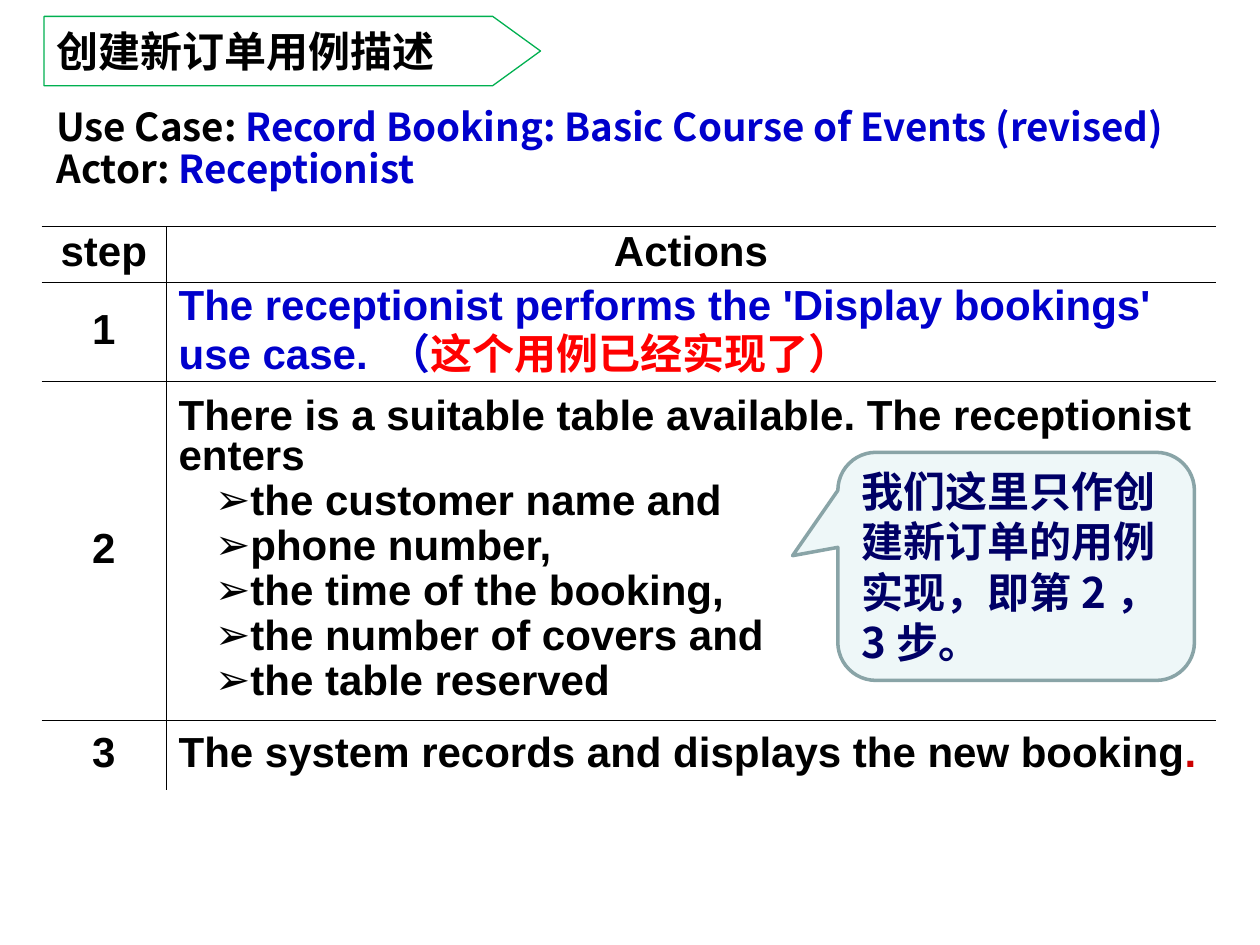
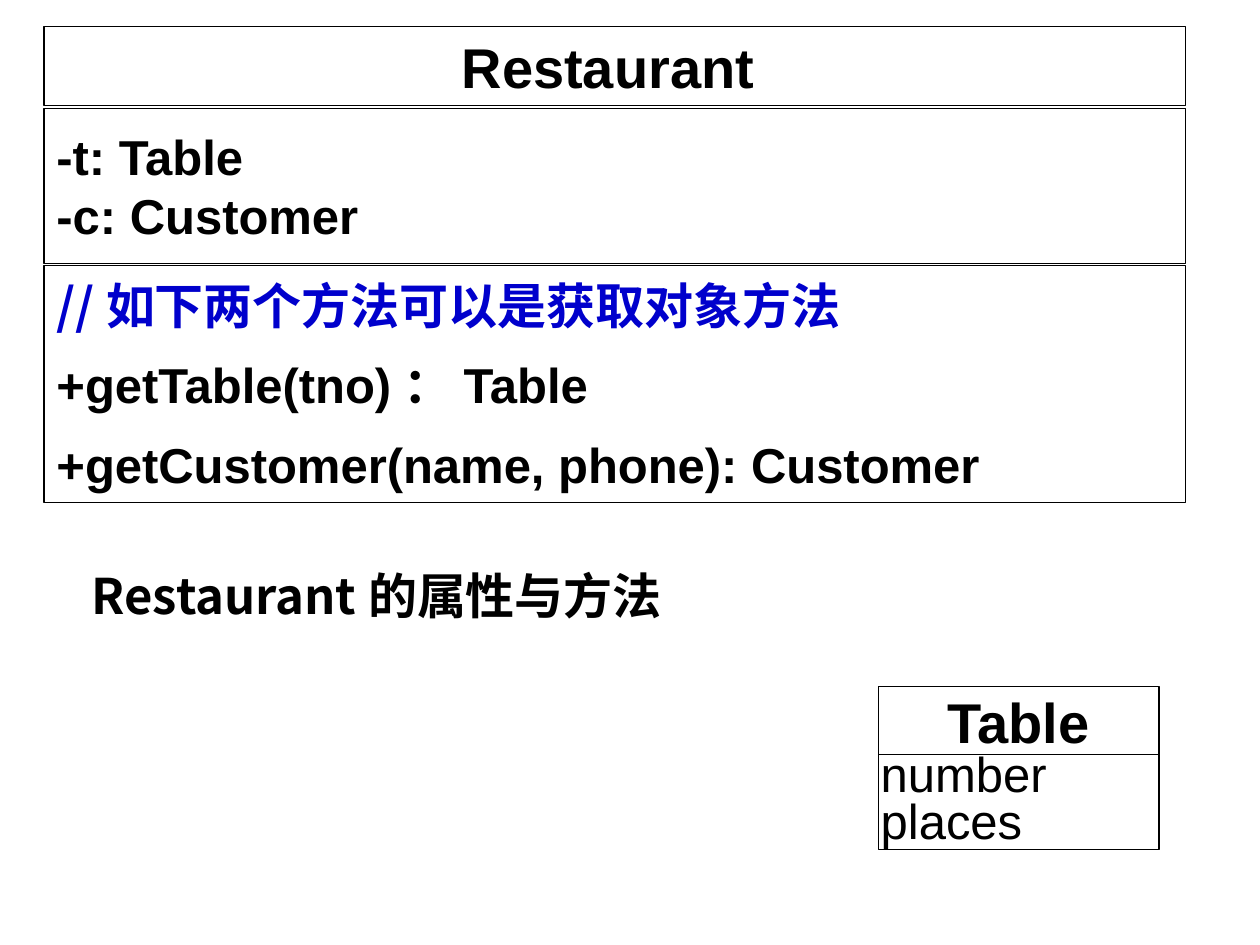
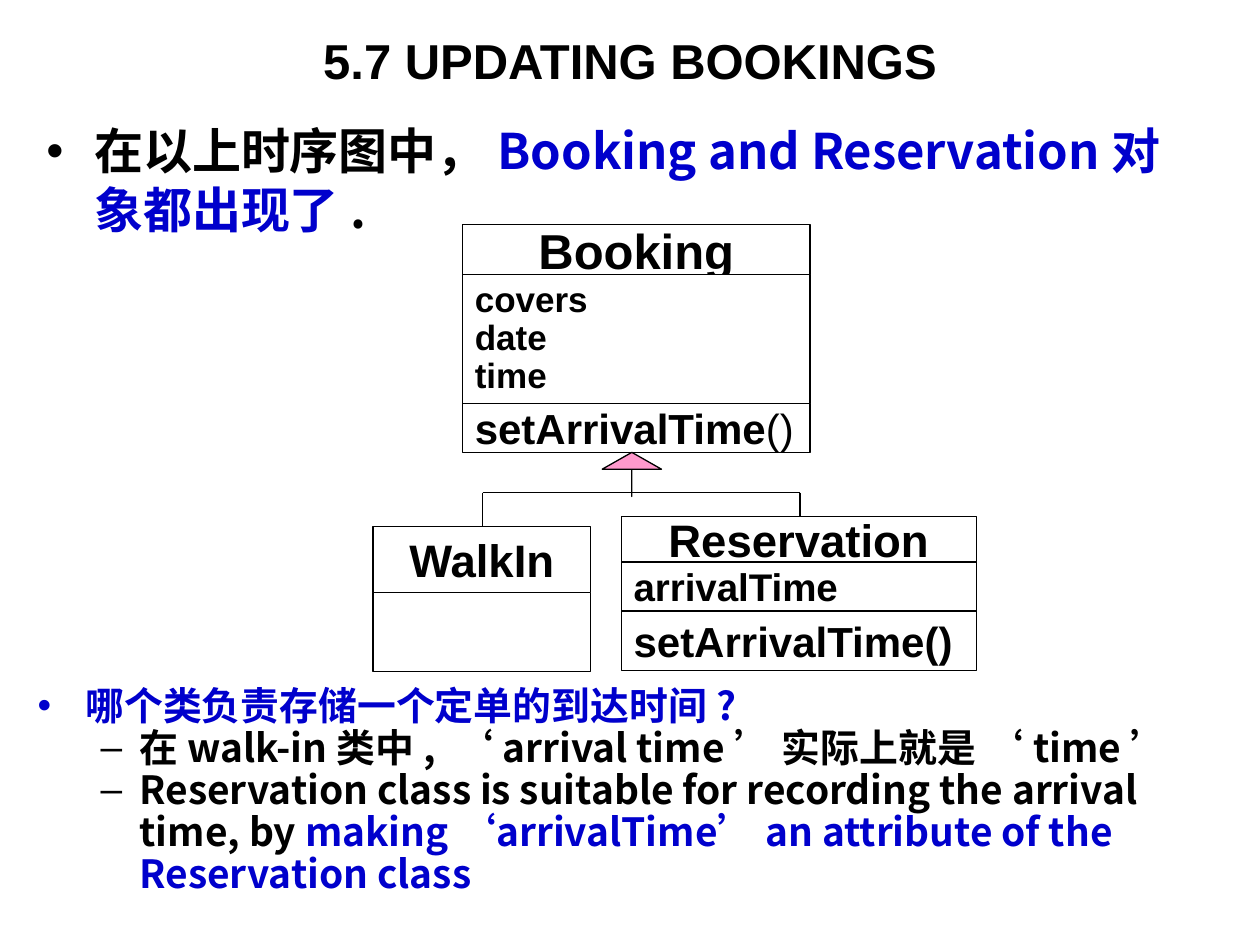
from dataclasses import dataclass
from lxml.etree import SubElement as Sub
from pptx import Presentation
from pptx.dml.color import RGBColor
from pptx.enum.shapes import MSO_CONNECTOR, MSO_SHAPE as Kind
from pptx.enum.text import MSO_ANCHOR as Anchor, MSO_AUTO_SIZE as Auto, PP_ALIGN as Align
from pptx.oxml.ns import qn
from pptx.util import Emu, Inches, Pt

WIDE, HIGH = Inches(10), Inches(7.5)
COLS, ROWS = 100, 75
BLACK, BLUE, RED, WHITE = "000000", "0000CC", "FF0000", "FFFFFF"
LATIN, HAN = "Arial", "Noto Sans CJK SC"
MID = {"vertical_anchor": Anchor.MIDDLE}
CENTER = {"alignment": Align.CENTER}


@dataclass
class Mark:
    """A bullet; left and hang are in grid columns."""
    char: str
    left: float
    hang: float
    level: int = 0
    color: str = BLACK


def look(size, font=LATIN, color=BLACK, bold=True):
    return {"size": size, "name": font, "color": color, "bold": bold}


def rgb(text):
    return RGBColor.from_string(text)


def col(n):
    return Emu(round(WIDE * n / COLS))


def row(n):
    return Emu(round(HIGH * n / ROWS))


def spot(box):
    x, y, w, h = box
    return col(x), row(y), col(w), row(h)


def assign(thing, values):
    for key, value in values.items():
        setattr(thing, key, value)


def style(run, form):
    font = run.font
    assign(font, {"name": form["name"], "size": Pt(form["size"]), "bold": form["bold"]})
    font.color.rgb = rgb(form["color"])
    Sub(run._r.get_or_add_rPr(), qn("a:ea"), typeface=HAN)


def bullet(par, mark):
    par.level = mark.level
    props = par._p.get_or_add_pPr()
    props.set("marL", str(col(mark.left)))
    props.set("indent", str(-col(mark.hang)))
    Sub(Sub(props, qn("a:buClr")), qn("a:srgbClr"), val=mark.color)
    Sub(props, qn("a:buFont"), typeface=LATIN)
    Sub(props, qn("a:buChar"), char=mark.char)


def write(frame, pars, form, lay=None, before=0):
    """Each paragraph is a list of (text, changes) runs, after an optional Mark."""
    for i, parts in enumerate(pars):
        par = frame.add_paragraph() if i else frame.paragraphs[0]
        for part in parts:
            if isinstance(part, Mark):
                bullet(par, part)
                continue
            text, change = part if isinstance(part, tuple) else (part, {})
            run = par.add_run()
            run.text = text
            style(run, form | change)
        assign(par, lay or {})
        par.space_before = Pt(before if i else 0)


def note(slide, box, pars, form, lay=None, before=0):
    frame = slide.shapes.add_textbox(*spot(box)).text_frame
    frame.word_wrap = True
    write(frame, pars, form, lay, before)


def head(slide, box, text, form, align):
    title = slide.shapes.title
    assign(title, dict(zip(("left", "top", "width", "height"), spot(box))))
    frame = title.text_frame
    assign(frame, MID | {"word_wrap": True, "auto_size": Auto.NONE})
    write(frame, [[text]], form, {"alignment": align})


def shape(slide, kind, box, fill=None, line=BLACK, width=0.75, adjust=()):
    item = slide.shapes.add_shape(kind, *spot(box))
    item.shadow.inherit = False
    for i, value in enumerate(adjust):
        item.adjustments[i] = value
    if fill:
        item.fill.solid()
        item.fill.fore_color.rgb = rgb(fill)
    else:
        item.fill.background()
    item.line.color.rgb = rgb(line)
    item.line.width = Pt(width)
    return item


def link(slide, x1, y1, x2, y2):
    line = slide.shapes.add_connector(
        MSO_CONNECTOR.STRAIGHT, col(x1), row(y1), col(x2), row(y2))
    line.line.color.rgb = rgb(BLACK)
    line.line.width = Pt(0.75)
    Sub(line._element.spPr, qn("a:effectLst"))


def stack(slide, x, y, wide, parts, gap=0):
    """Class box: parts are (height, paragraphs, look, paragraph format, frame format)."""
    for high, pars, form, lay, hold in parts:
        frame = shape(slide, Kind.RECTANGLE, (x, y, wide, high), WHITE).text_frame
        assign(frame, MID | {"word_wrap": False} | hold)
        lay = {"alignment": Align.LEFT} | lay
        write(frame, pars, form, lay, 6 if "space_after" in lay else 0)
        y += high + gap


def border(cell, sides):
    props = cell._tc.get_or_add_tcPr()
    for side in "LRTB":
        line = Sub(props, qn(f"a:ln{side}"), w=str(Pt(0.45)))
        if side in sides:
            Sub(Sub(line, qn("a:solidFill")), qn("a:srgbClr"), val=BLACK)
        else:
            Sub(line, qn("a:noFill"))
    cell.fill.background()


def steps(slide, box):
    item = Mark("➢", 5.5, 2.6, 1)
    fields = ("the customer name and", "phone number,", "the time of the booking,",
              "the number of covers and", "the table reserved")
    data = [
        ("step", [["Actions"]], 4.4),
        ("1", [["The receptionist performs the 'Display bookings'"],
               ["use case. （", ("这个用例已经实现了）", {"name": HAN, "color": RED})]], 7.9),
        ("2", [["There is a suitable table available. The receptionist enters"],
               *([item, name] for name in fields)], 26.9),
        ("3", [["The system records and displays the new booking",
                (".", {"color": "CC0000"})]], 5.5),
    ]
    table = slide.shapes.add_table(len(data), 2, *spot(box)).table
    assign(table, {"first_row": False, "horz_banding": False})
    for column, share in zip(table.columns, (0.106, 0.894)):
        column.width = col(box[2] * share)
    for i, (step, pars, high) in enumerate(data):
        table.rows[i].height = row(high)
        ends = "T" if i == len(data) - 1 else "TB"
        for j, body in enumerate(([[step]], pars)):
            cell = table.cell(i, j)
            cell.vertical_anchor = Anchor.MIDDLE
            border(cell, ends + "RL"[j])
            lay = {"line_spacing": 0.85}
            if j == 0 or i == 0:
                lay |= CENTER
            color = BLUE if (i, j) == (1, 1) else BLACK
            write(cell.text_frame, body, look(24, color=color), lay, 0 if i == 1 else 3)


def callout(slide, box, text):
    item = shape(slide, Kind.ROUNDED_RECTANGULAR_CALLOUT, box, "BBE0E3", "89A4A7", 2,
                 (-0.627, -0.047, 0.167))
    tint = item._element.spPr.find(qn("a:solidFill"))[0]
    Sub(tint, qn("a:alpha"), val="24000")
    assign(item.text_frame, MID | {"word_wrap": True})
    write(item.text_frame, [[text]], look(24, HAN, "000066"), {"alignment": Align.LEFT})


def use_case(slide):
    banner = (3.5, 1.3, 39.4, 5.5)
    shape(slide, Kind.PENTAGON, banner, line="00B050", adjust=(0.69,))
    head(slide, banner, "创建新订单用例描述", look(24, HAN), Align.LEFT)
    blue = {"color": BLUE}
    note(slide, (3.5, 8.4, 93, 7.3),
         [["Use Case: ", ("Record Booking: Basic Course of Events (revised)", blue)],
          ["Actor: ", ("Receptionist", blue)]],
         look(22, HAN), {"line_spacing": 0.8}, 2.8)
    steps(slide, (3.3, 18, 93.2, 44.7))
    callout(slide, (66.5, 35.9, 28.3, 18.1), "我们这里只作创建新订单的用例实现，即第2，3步。")


def members(slide):
    bold = look(28)
    stack(slide, 3.5, 2.1, 90.6, [
        (6.3, [["Restaurant", (" ", {"size": 28})]], look(32), CENTER, {}),
        (12.3, [["-t: Table"], ["-c: Customer"]], bold, {}, {}),
        (18.8, [[("//如下两个方法可以是获取对象方法", {"name": HAN, "color": BLUE})],
                ["+getTable(tno)：Table"],
                ["+getCustomer(name, phone): Customer"]],
         bold, {"space_after": Pt(6)}, {}),
    ], 0.2)
    tight = {"margin_left": col(0.2), "margin_right": 0, "margin_top": 0,
             "margin_bottom": 0, "vertical_anchor": Anchor.TOP, "word_wrap": True}
    stack(slide, 69.7, 54.5, 22.3, [
        (5.4, [["Table"]], look(32), CENTER, {}),
        (7.5, [["number"], ["places"]], look(28, bold=False), {"line_spacing": 0.8}, tight),
    ])
    note(slide, (3.5, 44.4, 52.8, 5.7), [["Restaurant的属性与方法"]], look(28, HAN), CENTER)


def family(slide, box):
    """Booking above its two kinds, placed from the corner of the box."""
    x, y = box
    bar, left, right = y + 21.3, x + 8.7, x + 33.9
    low, high = y + 24, y + 23.2
    link(slide, left, bar, right, bar)
    link(slide, left, bar, left, low)
    link(slide, right, bar, right, high)
    stack(slide, x + 7.1, y, 27.6, [
        (4, [["Booking"]], look(28), CENTER, {}),
        (10.2, [["covers"], ["date"], ["time"]], look(20), {"line_spacing": 0.9}, {}),
        (3.9, [["setArrivalTime", ("()", {"bold": False})]], look(24), {}, {}),
    ])
    shape(slide, Kind.UP_ARROW, (x + 18.2, y + 18.1, 4.7, 3.5), "FF99CC", adjust=(0, 0.382))
    stack(slide, x, low, 17.3, [
        (5.2, [["WalkIn"]], look(26), CENTER, {}),
        (6.3, [], look(26), {}, {}),
    ])
    stack(slide, x + 19.7, high, 28.2, [
        (3.6, [["Reservation"]], look(26), CENTER, {}),
        (3.9, [["arrivalTime"]], look(22), {}, {}),
        (4.7, [["setArrivalTime()"]], look(24), {}, {}),
    ])


def update(slide):
    head(slide, (5, 1.3, 90, 6.9), "5.7 UPDATING BOOKINGS", look(28), Align.CENTER)
    blue = {"color": BLUE}
    dash = Mark("–", 8.1, 3.1, 1)
    note(slide, (2.7, 9.1, 92.3, 10.6),
         [[Mark("•", 3.8, 3.8), "在以上时序图中，",
           ("Booking and Reservation对象都出现了", blue), "."]], look(28, HAN))
    family(slide, (29.6, 17.8))
    note(slide, (2, 54, 92, 20.5),
         [[Mark("•", 3.8, 3.8, color=BLUE), ("哪个类负责存储一个定单的到达时间?", blue)],
          [dash, "在walk-in类中, ‘arrival time’ 实际上就是 ‘time’"],
          [dash, "Reservation class is suitable for recording the arrival time, by",
           (" making ‘arrivalTime’ an attribute of the Reservation class", blue)]],
         look(22.2, HAN), {"line_spacing": 0.9})


def main():
    deck = Presentation()
    assign(deck, {"slide_width": WIDE, "slide_height": HIGH})
    titled, blank = deck.slide_layouts[5], deck.slide_layouts[6]
    for build, layout in ((use_case, titled), (members, blank), (update, titled)):
        build(deck.slides.add_slide(layout))
    deck.save("out.pptx")


if __name__ == "__main__":
    main()
